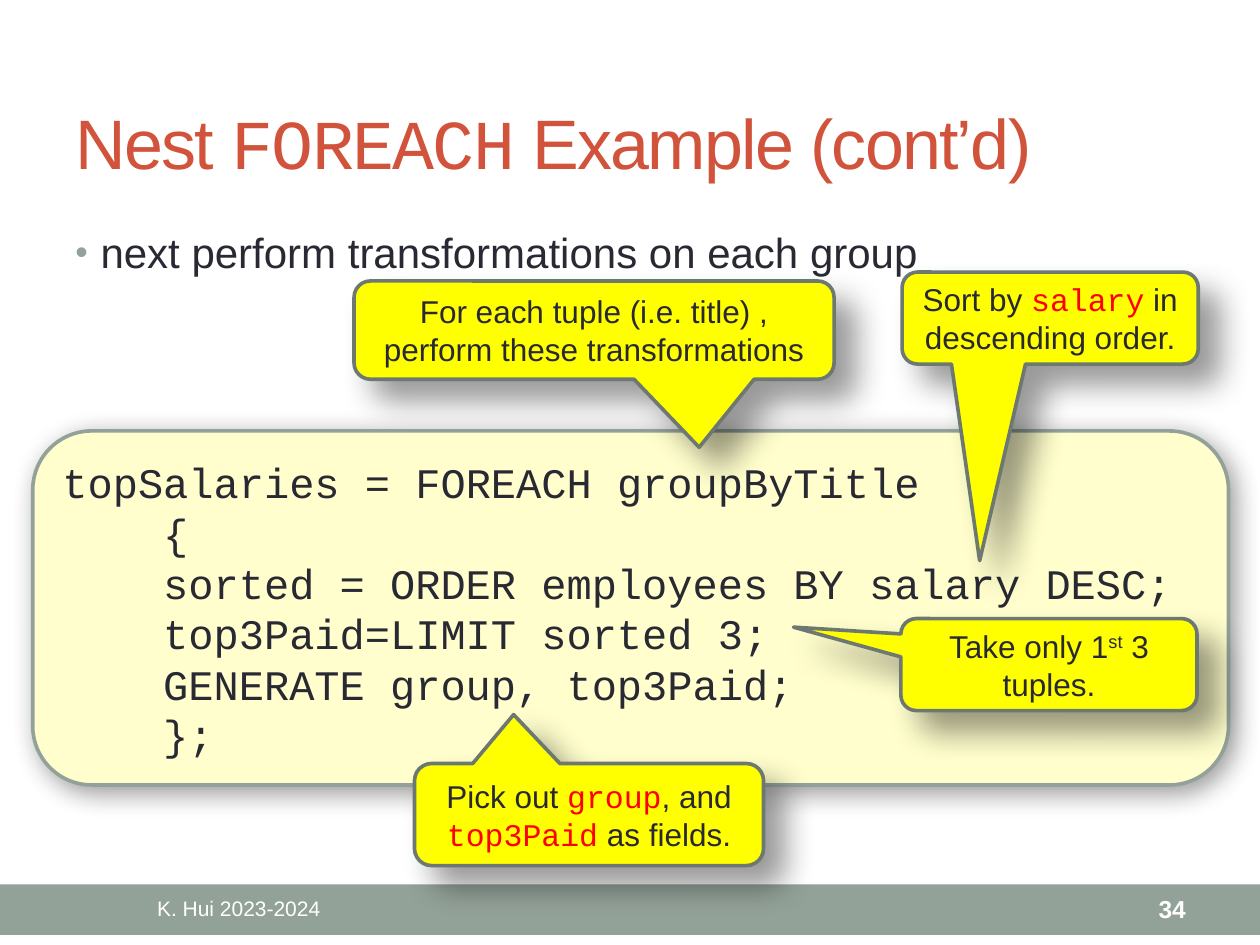
from pptx import Presentation
from pptx.dml.color import RGBColor as RGB
from pptx.enum.shapes import MSO_SHAPE as Kind
from pptx.enum.text import MSO_ANCHOR as Anchor, PP_ALIGN as Align
from pptx.oxml.ns import qn
from pptx.util import Inches, Pt
from lxml.etree import SubElement as Sub

COLS, ROWS = 100, 75
HUES = {
    "sage": "93A299", "edge": "6D7871", "cream": "FFFECC", "note": "FFFF00",
    "ink": "292934", "head": "D2533C", "key": "FF0000", "white": "FFFFFF",
    "shade": "000000",
}
SANS, MONO = "Arial", "Courier New"
CODE = {"font": MONO}
KEY = {"font": MONO, "hue": "key"}


def hue(name):
    return RGB.from_string(HUES[name])


def write(frame, lines, size=18, font=SANS, hue_name="ink", bold=False,
          align=Align.LEFT, anchor=Anchor.MIDDLE, track=0):
    frame.word_wrap = True
    frame.vertical_anchor = anchor
    for i, line in enumerate(lines):
        para = frame.add_paragraph() if i else frame.paragraphs[0]
        para.alignment = align
        for part in [line] if isinstance(line, str) else line:
            text, look = (part, {}) if isinstance(part, str) else part
            run = para.add_run()
            run.text = text
            run.font.size = Pt(size)
            run.font.bold = bold
            run.font.name = look.get("font", font)
            run.font.color.rgb = hue(look.get("hue", hue_name))
            props = run._r.get_or_add_rPr()
            if track:
                props.set("spc", str(track * 100))
            if "rise" in look:
                props.set("baseline", str(look["rise"] * 1000))
    return frame.paragraphs


def indent(para, left, first=0):
    props = para._p.get_or_add_pPr()
    props.set("marL", str(Inches(left)))
    props.set("indent", str(Inches(first)))
    return props


class Deck:
    def __init__(self):
        self.file = Presentation()
        self.file.slide_width, self.file.slide_height = Inches(10), Inches(7.5)
        self.slide = self.file.slides.add_slide(self.file.slide_layouts[6])

    def place(self, x, y, w, h):
        col = self.file.slide_width / COLS
        row = self.file.slide_height / ROWS
        return [round(n) for n in (x * col, y * row, w * col, h * row)]

    def text(self, box, lines, **look):
        shape = self.slide.shapes.add_textbox(*self.place(*box))
        return write(shape.text_frame, lines, **look)

    def shape(self, kind, box, fill, line=None):
        shape = self.slide.shapes.add_shape(kind, *self.place(*box))
        shape.shadow.inherit = False
        shape.fill.solid()
        shape.fill.fore_color.rgb = hue(fill)
        if line:
            shape.line.color.rgb = hue(line)
            shape.line.width = Pt(2.08)
        else:
            shape.line.fill.background()
        return shape

    def shade(self, shape, blur, dist):
        effects = shape.element.spPr.find(qn("a:effectLst"))
        drop = Sub(effects, qn("a:outerShdw"), blurRad=str(Pt(blur)),
                   dist=str(Pt(dist)), dir=str(45 * 60000), rotWithShape="0")
        tone = Sub(drop, qn("a:srgbClr"), val=HUES["shade"])
        Sub(tone, qn("a:alpha"), val="40000")

    def code(self, box, lines):
        shape = self.shape(Kind.ROUNDED_RECTANGLE, box, "cream", "sage")
        self.shade(shape, 15, 5)
        paras = write(shape.text_frame, lines, size=24, font=MONO)
        for para in paras[1:]:
            indent(para, 0.8)

    def bullet(self, box, line):
        para = self.text(box, [line], size=24, anchor=Anchor.TOP)[0]
        para.space_before = Pt(4.8)
        props = indent(para, 0.2, -0.2)
        tone = Sub(props, qn("a:buClr"))
        Sub(tone, qn("a:srgbClr"), val=HUES["sage"])
        Sub(props, qn("a:buSzPct"), val="85000")
        Sub(props, qn("a:buFont"), typeface=SANS)
        Sub(props, qn("a:buChar"), char="•")

    def note(self, box, tip, line):
        shape = self.shape(Kind.ROUNDED_RECTANGULAR_CALLOUT, box, "note", "edge")
        for i, value in enumerate((*tip, 0.167)):
            shape.adjustments[i] = value
        self.shade(shape, 18, 16)
        write(shape.text_frame, [line], align=Align.CENTER)


NOTES = [
    ((28.1, 22.3, 38.1, 7.8), (0.219, 1.193),
     "For each tuple (i.e. title) , perform these transformations"),
    ((71.6, 21.6, 23.5, 7.3), (-0.238, 2.638),
     ["Sort by ", ("salary", KEY), " in descending order."]),
    ((71.5, 49.1, 23.5, 7.3), (-0.863, -0.407),
     ["Take only 1", ("st", {"rise": 30}), " 3 tuples."]),
    ((32.9, 60.6, 27.7, 8.1), (-0.216, -0.98),
     ["Pick out ", ("group", KEY), ", and ", ("top3Paid", KEY), " as fields."]),
]


def main():
    deck = Deck()
    deck.shape(Kind.RECTANGLE, (0, 70.2, COLS, 4), "sage")
    deck.code((2.6, 34.2, 94.9, 28.1), [
        "topSalaries = FOREACH groupByTitle",
        "{",
        "sorted = ORDER employees BY salary DESC;",
        "top3Paid=LIMIT sorted 3;",
        "GENERATE group, top3Paid;",
        "};",
    ])
    deck.text((5, 5.8, 90, 10.8),
              [["Nest ", ("FOREACH", CODE), " Example (cont’d)"]],
              size=40, hue_name="head", track=-1)
    deck.bullet((5, 17.5, 90, 10.1), "next perform transformations on each group")
    deck.text((5, 70.3, 27.9, 3.6), ["K. Hui 2023-2024"],
              size=12, hue_name="white", align=Align.CENTER)
    deck.text((83.4, 70.3, 11.7, 3.6), ["34"],
              size=14, hue_name="white", bold=True, align=Align.RIGHT)
    for box, tip, line in NOTES:
        deck.note(box, tip, line)
    deck.file.save("out.pptx")


if __name__ == "__main__":
    main()
